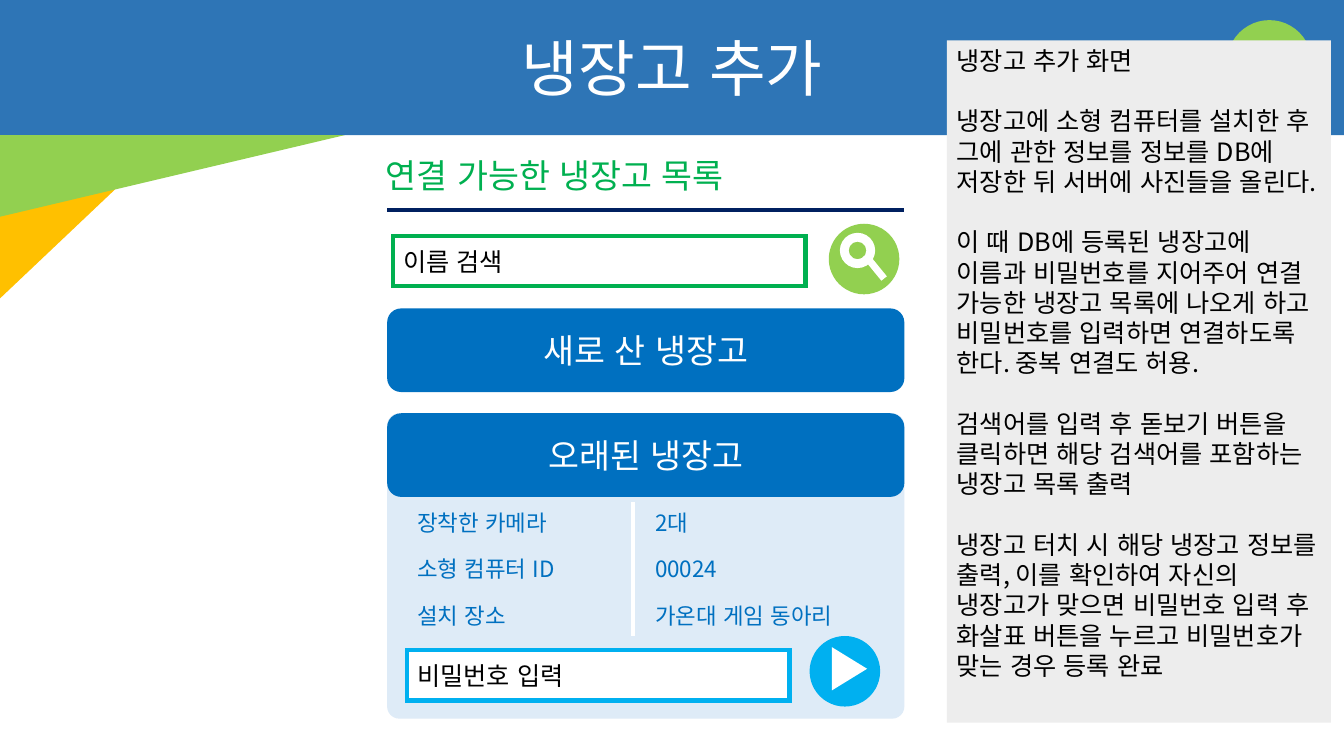
from pptx import Presentation
from pptx.dml.color import RGBColor
from pptx.enum.lang import MSO_LANGUAGE_ID
from pptx.enum.shapes import MSO_CONNECTOR, MSO_SHAPE
from pptx.enum.text import MSO_ANCHOR, PP_ALIGN
from pptx.oxml.ns import qn
from pptx.util import Inches, Pt
from lxml.etree import SubElement

FONT = "Noto Sans CJK KR"
HUES = {
    "banner": "2E75B6", "lime": "92D050", "amber": "FFC000", "white": "FFFFFF",
    "navy": "002060", "green": "00B050", "blue": "0070C0", "sky": "00B0F0",
    "pale": "DEEBF7", "gray": "EDEDED", "black": "000000",
}
NOTES = [
    "냉장고 추가 화면",
    "냉장고에 소형 컴퓨터를 설치한 후 그에 관한 정보를 정보를 DB에 저장한 뒤 서버에 사진들을 올린다.",
    "이 때 DB에 등록된 냉장고에 이름과 비밀번호를 지어주어 연결 가능한 냉장고 목록에 나오게 하고 "
    "비밀번호를 입력하면 연결하도록 한다. 중복 연결도 허용.",
    "검색어를 입력 후 돋보기 버튼을 클릭하면 해당 검색어를 포함하는 냉장고 목록 출력",
    "냉장고 터치 시 해당 냉장고 정보를 출력, 이를 확인하여 자신의 냉장고가 맞으면 "
    "비밀번호 입력 후 화살표 버튼을 누르고 비밀번호가 맞는 경우 등록 완료",
]
FACTS = [("장착한 카메라", "2대"), ("소형 컴퓨터 ID", "00024"), ("설치 장소", "가온대 게임 동아리")]


def color(name):
    """Return the named colour."""
    return RGBColor.from_string(HUES[name])


def write(shape, texts, size, hue, align=PP_ALIGN.LEFT, anchor=MSO_ANCHOR.TOP, gap=0):
    """Fill a shape with evenly set paragraphs."""
    frame = shape.text_frame
    frame.word_wrap = True
    frame.vertical_anchor = anchor
    for i, text in enumerate(texts):
        para = frame.paragraphs[0] if i == 0 else frame.add_paragraph()
        form = {"alignment": align, "line_spacing": Pt(size * 1.2),
                "space_before": Pt(gap if i else 0)}
        for key, value in form.items():
            setattr(para, key, value)
        run = para.add_run()
        run.text = text
        form = {"name": FONT, "size": Pt(size), "language_id": MSO_LANGUAGE_ID.KOREAN}
        for key, value in form.items():
            setattr(run.font, key, value)
        run.font.color.rgb = color(hue)
        SubElement(run.font._element, qn("a:ea"), typeface=FONT)


def paint(shape, fill, edge=None):
    """Set the fill and outline of a shape."""
    shape.shadow.inherit = False
    shape.fill.solid()
    shape.fill.fore_color.rgb = color(fill)
    if edge:
        shape.line.color.rgb = color(edge)
        shape.line.width = Pt(3)
        SubElement(shape._element.spPr.find(qn("a:ln")), qn("a:miter"), lim="800000")
    else:
        shape.line.fill.background()
    return shape


def block(slide, kind, box, fill, edge=None, turn=0):
    """Add a preset shape."""
    shape = slide.shapes.add_shape(kind, *map(Inches, box))
    shape.rotation = turn
    return paint(shape, fill, edge)


def wedge(slide, top, width, height, fill):
    """Add a corner triangle at the left edge."""
    pen = slide.shapes.build_freeform(0, Inches(top), scale=1.0)
    pen.add_line_segments([(Inches(width), Inches(top)), (0, Inches(top + height))])
    paint(pen.convert_to_shape(), fill)


def label(slide, box, text, size, hue, align=PP_ALIGN.LEFT):
    """Add a text box."""
    write(slide.shapes.add_textbox(*map(Inches, box)), [text], size, hue, align)


def rule(slide, start, end, hue):
    """Add a straight line."""
    line = slide.shapes.add_connector(MSO_CONNECTOR.STRAIGHT, *map(Inches, start + end))
    line.line.color.rgb = color(hue)
    line.line.width = Pt(3)
    SubElement(line._element.spPr, qn("a:effectLst"))


def field(slide, box, text, edge):
    """Add an input field."""
    shape = block(slide, MSO_SHAPE.RECTANGLE, box, "white", edge)
    write(shape, [text], 18, "black", anchor=MSO_ANCHOR.MIDDLE)


def button(slide, top, text):
    """Add a wide rounded button."""
    shape = block(slide, MSO_SHAPE.ROUNDED_RECTANGLE, (3.84, top, 5.13, 0.83), "blue")
    write(shape, [text], 24, "white", PP_ALIGN.CENTER, MSO_ANCHOR.MIDDLE)


def header(slide):
    """Draw the banner and its corners."""
    block(slide, MSO_SHAPE.RECTANGLE, (0, 0, 13.33, 1.34), "banner")
    wedge(slide, 1.34, 1.71, 1.62, "amber")
    wedge(slide, 1.34, 3.42, 0.81, "lime")
    label(slide, (4.29, 0.25, 4.76, 0.84), "냉장고 추가", 44, "white", PP_ALIGN.CENTER)
    block(slide, MSO_SHAPE.OVAL, (12.17, 0.2, 0.84, 0.84), "lime")


def search(slide):
    """Draw the list heading and search row."""
    label(slide, (3.73, 1.49, 5.76, 0.5), "연결 가능한 냉장고 목록", 24, "green")
    rule(slide, (3.84, 2.08), (8.97, 2.08), "navy")
    field(slide, (3.9, 2.34, 4.09, 0.5), "이름 검색", "green")
    block(slide, MSO_SHAPE.OVAL, (8.22, 2.22, 0.7, 0.7), "lime")
    block(slide, MSO_SHAPE.DONUT, (8.33, 2.31, 0.35, 0.35), "white")
    block(slide, MSO_SHAPE.RECTANGLE, (8.54, 2.62, 0.28, 0.07), "white", turn=50.8)


def fridges(slide):
    """Draw the fridge buttons and the open card."""
    button(slide, 3.06, "새로 산 냉장고")
    card = block(slide, MSO_SHAPE.ROUNDED_RECTANGLE, (3.84, 4.1, 5.13, 3.03), "pale")
    card.adjustments[0] = 0.04
    button(slide, 4.1, "오래된 냉장고")
    for row, pair in enumerate(FACTS):
        for left, text in zip((4.04, 6.4), pair):
            label(slide, (left, 5 + row * 0.46, 2.21, 0.37), text, 16, "blue")
    rule(slide, (6.28, 4.98), (6.28, 6.31), "white")
    field(slide, (4.04, 6.45, 3.79, 0.5), "비밀번호 입력", "sky")
    block(slide, MSO_SHAPE.OVAL, (8.03, 6.31, 0.7, 0.7), "sky")
    block(slide, MSO_SHAPE.ISOSCELES_TRIANGLE, (8.21, 6.46, 0.43, 0.35), "white", turn=90)


def main():
    """Build and save the slide."""
    deck = Presentation()
    deck.slide_width, deck.slide_height = Inches(13.33), Inches(7.5)
    slide = deck.slides.add_slide(deck.slide_layouts[6])
    header(slide)
    search(slide)
    fridges(slide)
    panel = block(slide, MSO_SHAPE.RECTANGLE, (9.39, 0.4, 3.81, 6.77), "gray")
    write(panel, NOTES, 18, "black", gap=21.6)
    deck.save("out.pptx")


if __name__ == "__main__":
    main()
